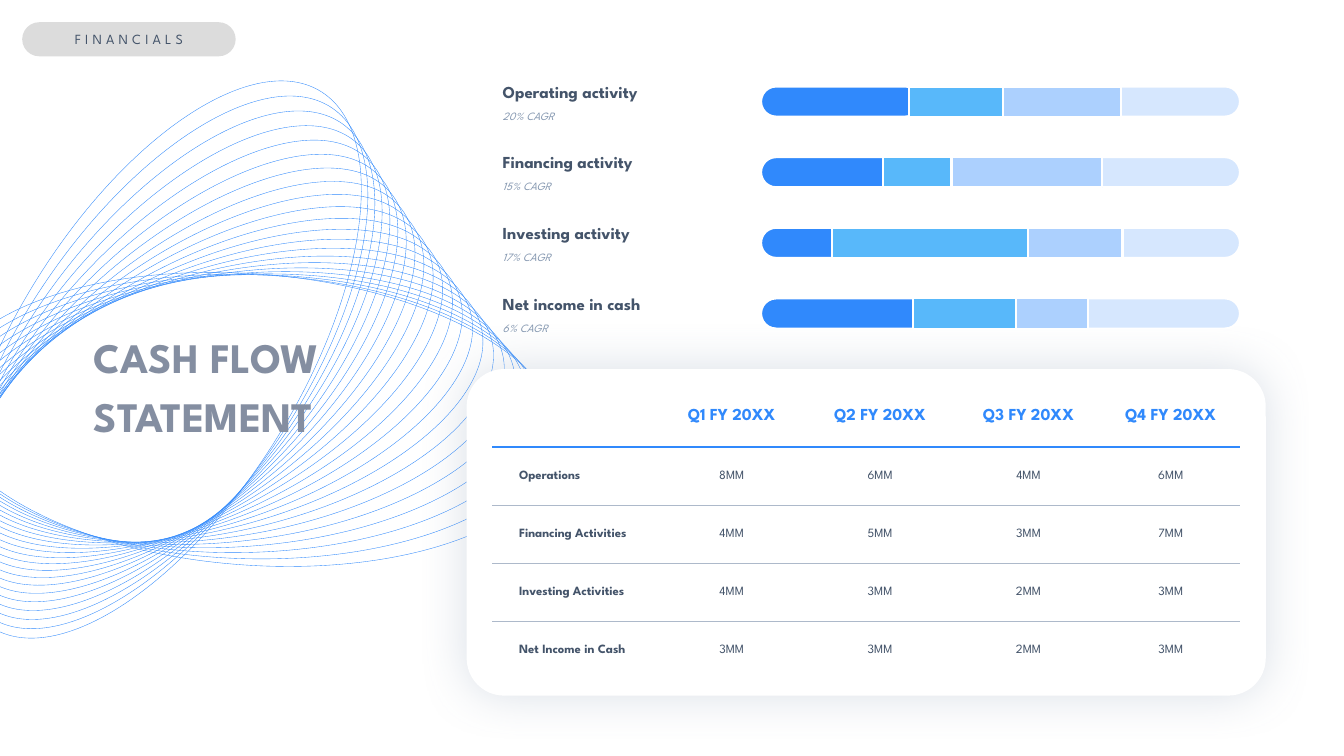
from dataclasses import dataclass
from typing import NamedTuple

from lxml.etree import SubElement
from pptx import Presentation
from pptx.dml.color import RGBColor
from pptx.enum.shapes import MSO_SHAPE
from pptx.enum.text import MSO_ANCHOR, MSO_AUTO_SIZE, PP_ALIGN
from pptx.oxml.ns import qn
from pptx.shapes.autoshape import Shape
from pptx.slide import Slide
from pptx.table import _Cell
from pptx.text.text import _Paragraph, _Run
from pptx.util import Cm, Pt

FONT = "League Spartan"
COLORS = {
    "white": "FFFFFF", "blue": "3089FC", "sky": "58B8FA", "pale": "ACD0FE",
    "track": "D6E7FE", "ink": "44546A", "muted": "8497B0", "title": "848EA1",
    "rule": "ADB9CA", "tag": "DCDCDC",
}
WAVE_COUNT = 22
BEZIER_CIRCLE = 0.5523
BAR_LEFT, BAR_WIDTH, BAR_HEIGHT = 19.18, 12.07, 0.76
ACTIVITY_TOP, ACTIVITY_STEP = 1.93, 1.78
COLUMN_WIDTHS = (4.17, 3.7, 3.78, 3.7, 3.47)
HEADER_HEIGHT, ROW_HEIGHT = 1.57, 1.46


class Box(NamedTuple):
    left: float
    top: float
    width: float
    height: float


class Vector(NamedTuple):
    x: float
    y: float


@dataclass
class Activity:
    name: str
    growth: str
    lead_width: float
    pale_left: float
    pale_width: float
    sky_left: float
    sky_width: float


@dataclass
class CashRow:
    label: str
    quarters: tuple[str, ...]


ACTIVITIES = [
    Activity("Operating activity", "20% CAGR", 4.01, 24.23, 4.01, 22.91, 2.36),
    Activity("Financing activity", "15% CAGR", 3.43, 23.77, 4.01, 22.25, 1.73),
    Activity("Investing activity", "17% CAGR", 2.21, 24.28, 4.01, 20.96, 4.95),
    Activity("Net income in cash", "6% CAGR", 4.37, 24.36, 3.07, 23.01, 2.59),
]
CASH_ROWS = [
    CashRow("", ("Q1 FY 20XX", "Q2 FY 20XX", "Q3 FY 20XX", "Q4 FY 20XX")),
    CashRow("Operations", ("8MM", "6MM", "4MM", "6MM")),
    CashRow("Financing Activities", ("4MM", "5MM", "3MM", "7MM")),
    CashRow("Investing Activities", ("4MM", "3MM", "2MM", "3MM")),
    CashRow("Net Income in Cash", ("3MM", "3MM", "2MM", "3MM")),
]


def rgb(color: str) -> RGBColor:
    return RGBColor.from_string(COLORS[color])


def add_run(paragraph: _Paragraph, text: str, size: float, color: str,
            bold: bool = False, italic: bool = False) -> _Run:
    run = paragraph.add_run()
    run.text = text
    run.font.name = FONT
    run.font.size = Pt(size)
    run.font.bold = bold
    run.font.italic = italic
    run.font.color.rgb = rgb(color)
    return run


def add_text(slide: Slide, box: Box, lines: list[str], size: float, color: str,
             bold: bool = False, italic: bool = False, spacing: float | None = None) -> None:
    frame = slide.shapes.add_textbox(*map(Cm, box)).text_frame
    frame.word_wrap = True
    frame.auto_size = MSO_AUTO_SIZE.SHAPE_TO_FIT_TEXT
    for index, line in enumerate(lines):
        paragraph = frame.add_paragraph() if index else frame.paragraphs[0]
        if spacing:
            paragraph.line_spacing = Pt(spacing)
        add_run(paragraph, line, size, color, bold, italic)


def add_rounded(slide: Slide, box: Box, corner: float, fill: str, outlined: bool = False) -> Shape:
    shape = slide.shapes.add_shape(MSO_SHAPE.ROUNDED_RECTANGLE, *map(Cm, box))
    shape.adjustments[0] = corner
    shape.shadow.inherit = False
    shape.fill.solid()
    shape.fill.fore_color.rgb = rgb(fill)
    if outlined:
        shape.line.color.rgb = rgb("white")
        shape.line.width = Pt(1.5)
    else:
        shape.line.fill.background()
    return shape


def add_wave(slide: Slide, center: Vector, across: Vector, down: Vector) -> None:
    def point(a: float, b: float) -> tuple[int, int]:
        return (Cm(center.x + a * across.x + b * down.x),
                Cm(center.y + a * across.y + b * down.y))

    k = BEZIER_CIRCLE
    a, b = 0, -1
    curve_points = []
    for _ in range(4):
        next_a, next_b = -b, a
        curve_points += [point(a + k * next_a, b + k * next_b),
                         point(next_a + k * a, next_b + k * b),
                         point(next_a, next_b)]
        a, b = next_a, next_b
    builder = slide.shapes.build_freeform(*point(0, -1))
    builder.add_line_segments(curve_points, close=True)
    wave = builder.convert_to_shape()
    segments = list(wave._element.iter(qn("a:lnTo")))
    for start in range(0, len(segments), 3):
        first, *others = segments[start:start + 3]
        first.tag = qn("a:cubicBezTo")
        for segment in others:
            first.append(segment[0])
            segment.getparent().remove(segment)
    wave.shadow.inherit = False
    wave.fill.background()
    wave.line.color.rgb = rgb("blue")
    wave.line.width = Pt(0.25)


def add_waves(slide: Slide) -> None:
    first = (Vector(6.31, 10.57), Vector(7.81, 0.57), Vector(-0.25, 3.66))
    last = (Vector(3.94, 9.06), Vector(4.17, -6.74), Vector(3.05, 1.96))
    for index in range(WAVE_COUNT):
        share = index / (WAVE_COUNT - 1)
        add_wave(slide, *(Vector(s.x + share * (e.x - s.x), s.y + share * (e.y - s.y))
                          for s, e in zip(first, last)))


def add_card(slide: Slide) -> None:
    card = add_rounded(slide, Box(11.76, 9.3, 20.14, 8.23), 0.115, "white")
    effects = card._element.spPr.find(qn("a:effectLst"))
    shadow = SubElement(effects, qn("a:outerShdw"), blurRad=str(Pt(35)), dist="0",
                        dir="5400000", algn="ctr", rotWithShape="0")
    tint = SubElement(shadow, qn("a:srgbClr"), val=COLORS["muted"])
    SubElement(tint, qn("a:alpha"), val="30000")


def set_border(cell: _Cell, edge: str, color: str, width: float, dash: str = "solid") -> None:
    line = SubElement(cell._tc.get_or_add_tcPr(), qn(f"a:ln{edge}"), w=str(Pt(width)))
    fill = SubElement(line, qn("a:solidFill"))
    SubElement(fill, qn("a:srgbClr"), val=COLORS[color])
    SubElement(line, qn("a:prstDash"), val=dash)


def add_cash_table(slide: Slide) -> None:
    box = Box(12.42, 9.7, sum(COLUMN_WIDTHS), HEADER_HEIGHT + 4 * ROW_HEIGHT)
    table = slide.shapes.add_table(len(CASH_ROWS), len(COLUMN_WIDTHS), *map(Cm, box)).table
    table.first_row = table.horz_banding = False
    for column, width in zip(table.columns, COLUMN_WIDTHS):
        column.width = Cm(width)
    rules = [("white", 1), ("blue", 1.5), *[("rule", 0.25)] * 3, ("white", 1)]
    for r, row in enumerate(CASH_ROWS):
        table.rows[r].height = Cm(ROW_HEIGHT if r else HEADER_HEIGHT)
        for c, text in enumerate((row.label, *row.quarters)):
            cell = table.cell(r, c)
            cell.vertical_anchor = MSO_ANCHOR.MIDDLE
            cell.margin_left = cell.margin_right = Cm(0.15)
            cell.margin_top = cell.margin_bottom = Cm(0.08)
            for edge in "LR":
                set_border(cell, edge, "white", 1, "sysDash")
            set_border(cell, "T", *rules[r])
            set_border(cell, "B", *rules[r + 1])
            cell.fill.background()
            if not text:
                continue
            paragraph = cell.text_frame.paragraphs[0]
            if c:
                paragraph.alignment = PP_ALIGN.CENTER
            else:
                paragraph._p.get_or_add_pPr().set("marL", str(Cm(0.51)))
            add_run(paragraph, text, 9 if r else 12, "ink" if r else "blue", bold=not (r and c))


def add_activity(slide: Slide, activity: Activity, top: float) -> None:
    add_text(slide, Box(12.42, top, 4.37, 0.76), [activity.name], 12, "ink", bold=True)
    add_text(slide, Box(12.42, top + 0.69, 4.37, 0.61), [activity.growth], 8, "muted", italic=True)
    for left, width, corner, fill in (
        (BAR_LEFT, BAR_WIDTH, 0.5, "track"),
        (BAR_LEFT, activity.lead_width, 0.5, "blue"),
        (activity.pale_left, activity.pale_width, 0, "pale"),
        (activity.sky_left, activity.sky_width, 0, "sky"),
    ):
        add_rounded(slide, Box(left, top + 0.25, width, BAR_HEIGHT), corner, fill, outlined=True)


def add_section_tag(slide: Slide) -> None:
    frame = add_rounded(slide, Box(0.56, 0.56, 5.38, 0.86), 0.5, "tag").text_frame
    frame.margin_left = frame.margin_right = frame.margin_top = frame.margin_bottom = 0
    frame.vertical_anchor = MSO_ANCHOR.MIDDLE
    frame.paragraphs[0].alignment = PP_ALIGN.CENTER
    run = add_run(frame.paragraphs[0], "FINANCIALS", 10, "ink")
    run.font._element.set("spc", "300")


def main() -> None:
    deck = Presentation()
    deck.slide_width, deck.slide_height = Cm(33.87), Cm(19.05)
    slide = deck.slides.add_slide(deck.slide_layouts[6])
    add_waves(slide)
    add_card(slide)
    add_cash_table(slide)
    for index, activity in enumerate(ACTIVITIES):
        add_activity(slide, activity, ACTIVITY_TOP + index * ACTIVITY_STEP)
    add_text(slide, Box(2.11, 8.03, 8.2, 3.1), ["CASH FLOW", "STATEMENT"], 30, "title",
             bold=True, spacing=42)
    add_section_tag(slide)
    deck.save("out.pptx")


if __name__ == "__main__":
    main()
